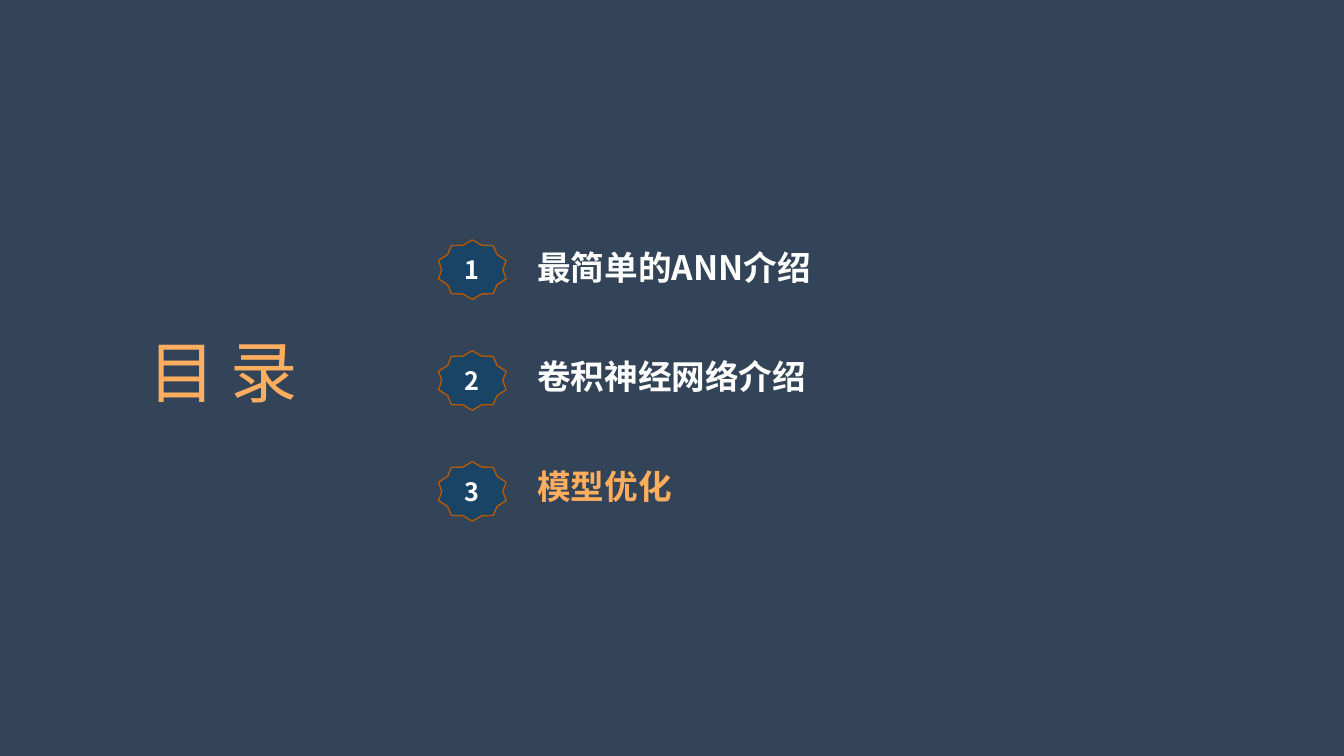
from dataclasses import dataclass

from pptx import Presentation
from pptx import util as u
from pptx.dml.color import RGBColor
from pptx.enum import shapes, text
from pptx.oxml import ns


@dataclass(frozen=True)
class Theme:
    """Colours, type sizes and font of the slide."""
    background: str = "344458"
    accent: str = "FFAD5E"
    plain: str = "FFFFFF"
    badge: str = "1A4465"
    outline: str = "B25800"
    font: str = "Noto Sans CJK SC"
    title_size: int = 48
    label_size: int = 24
    badge_size: int = 18


THEME = Theme()
WIDTH, HEIGHT = 13.33, 7.5
TOPICS = ["最简单的ANN介绍", "卷积神经网络介绍", "模型优化"]
CURRENT = 2
BADGE_COLUMN, LABEL_COLUMN = 4.35, 5.23
FIRST_ROW = 2.38
BADGE_PITCH, LABEL_PITCH = 1.1, 1.09


def inches(*lengths):
    """Convert lengths in inches to slide units."""
    return [u.Inches(length) for length in lengths]


def colour(code):
    """Turn a hex code into a colour."""
    return RGBColor.from_string(code)


def write(shape, words, size, shade, bold=False, align=text.PP_ALIGN.LEFT,
          anchor=text.MSO_ANCHOR.MIDDLE):
    """Write one formatted run into a shape and return its paragraph."""
    frame = shape.text_frame
    frame.word_wrap = True
    frame.vertical_anchor = anchor
    para = frame.paragraphs[0]
    para.alignment = align
    span = para.add_run()
    span.text = words
    font = span.font
    font.size, font.bold, font.name = u.Pt(size), bold, THEME.font
    font.color.rgb = colour(shade)
    east_asian = font._element.makeelement(ns.qn("a:ea"), {"typeface": THEME.font})
    font._element.find(ns.qn("a:latin")).addnext(east_asian)
    return para


def add_title(page, words):
    """Fill the title placeholder at the left of the page."""
    title = page.shapes.title
    title.left, title.top, title.width, title.height = inches(0.98, 3.37, 2.47, 1.1)
    para = write(title, words, THEME.title_size, THEME.accent,
                 align=text.PP_ALIGN.CENTER, anchor=text.MSO_ANCHOR.TOP)
    para.line_spacing = 0.9
    title.text_frame.margin_top = 0


def add_badge(page, row):
    """Add the numbered star of one row."""
    badge = page.shapes.add_shape(
        shapes.MSO_SHAPE.STAR_10_POINT,
        *inches(BADGE_COLUMN, FIRST_ROW + row * BADGE_PITCH, 0.67, 0.59))
    badge.adjustments[0] = 0.43
    badge.shadow.inherit = False
    badge.fill.solid()
    badge.fill.fore_color.rgb = colour(THEME.badge)
    badge.line.color.rgb = colour(THEME.outline)
    badge.line.width = u.Pt(1)
    write(badge, str(row + 1), THEME.badge_size, THEME.plain, True,
          text.PP_ALIGN.CENTER)


def add_label(page, row, words):
    """Add the topic of one row, accented when it is the current one."""
    box = page.shapes.add_textbox(
        *inches(LABEL_COLUMN, FIRST_ROW + row * LABEL_PITCH, 5.14, 0.58))
    shade = THEME.accent if row == CURRENT else THEME.plain
    para = write(box, words, THEME.label_size, shade, True)
    para.line_spacing = 0.9
    para.space_before = u.Pt(10)


def main():
    """Build the contents slide and save it."""
    deck = Presentation()
    deck.slide_width, deck.slide_height = inches(WIDTH, HEIGHT)
    page = deck.slides.add_slide(deck.slide_layouts[5])
    page.background.fill.solid()
    page.background.fill.fore_color.rgb = colour(THEME.background)
    add_title(page, "目 录")
    for row, words in enumerate(TOPICS):
        add_label(page, row, words)
        add_badge(page, row)
    deck.save("out.pptx")


if __name__ == "__main__":
    main()
